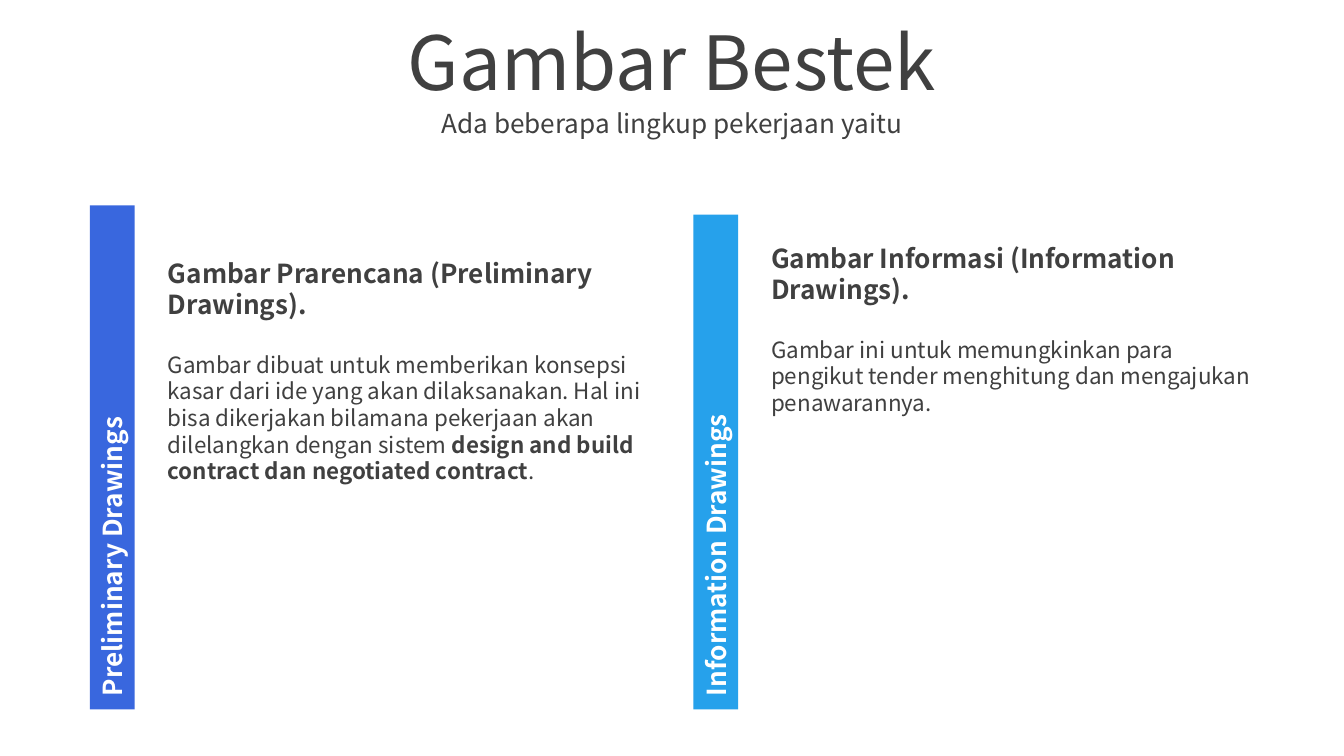
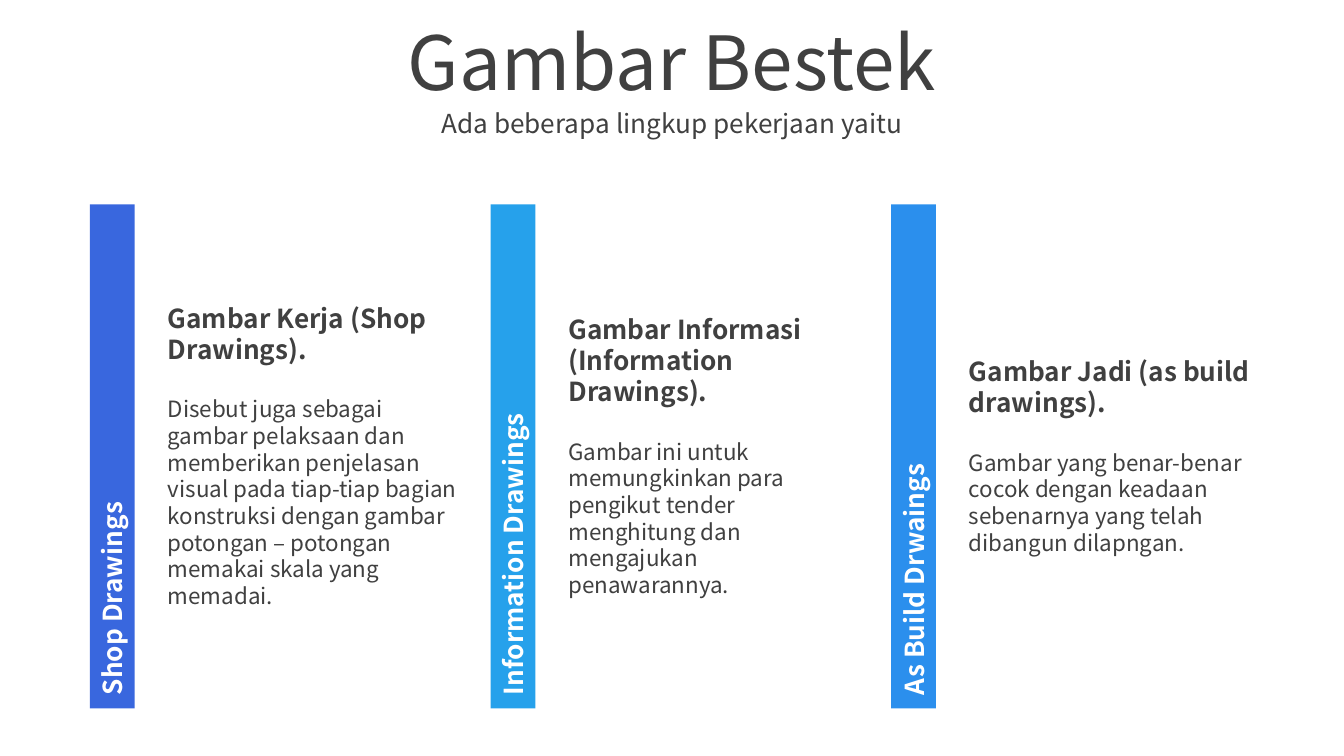
import pptx
import pptx.dml.color
import pptx.enum.shapes
import pptx.enum.text
import pptx.util

Pt = pptx.util.Pt
RGBColor = pptx.dml.color.RGBColor
ALIGN = pptx.enum.text.PP_ALIGN

FONT = "Noto Sans CJK KR"
INK = RGBColor(0x40, 0x40, 0x40)
WHITE = RGBColor(0xFF, 0xFF, 0xFF)
ROYAL = RGBColor(0x39, 0x67, 0xDE)
SKY = RGBColor(0x26, 0xA1, 0xEB)
AZURE = RGBColor(0x2B, 0x8F, 0xED)

SLIDE_WIDTH, SLIDE_HEIGHT = 720, 405
BAR_THICKNESS = 24
BAR_LEFT = 48.2
TEXT_OFFSET = 34.6
LINE_FACTOR = 1.19

TITLE = "Gambar Bestek"
SUBTITLE = "Ada beberapa lingkup pekerjaan yaitu"

INFORMATION = {
    "label": "Information Drawings",
    "color": SKY,
    "heading": "Gambar Informasi (Information Drawings).",
    "body": [("Gambar ini untuk memungkinkan para pengikut tender menghitung "
              "dan mengajukan penawarannya.", False)],
}
PRELIMINARY = {
    "label": "Preliminary Drawings",
    "color": ROYAL,
    "heading": "Gambar Prarencana (Preliminary Drawings).",
    "body": [
        ("Gambar dibuat untuk memberikan konsepsi kasar dari ide yang akan "
         "dilaksanakan. Hal ini bisa dikerjakan bilamana pekerjaan akan "
         "dilelangkan dengan sistem ", False),
        ("design and build contract dan negotiated contract", True),
        (".", False),
    ],
}
SHOP = {
    "label": "Shop Drawings",
    "color": ROYAL,
    "heading": "Gambar Kerja (Shop Drawings).",
    "body": [("Disebut juga sebagai gambar pelaksaan dan memberikan penjelasan "
              "visual pada tiap-tiap bagian konstruksi dengan gambar potongan – "
              "potongan memakai skala yang memadai.", False)],
}
AS_BUILT = {
    "label": "As Build Drwaings",
    "color": AZURE,
    "heading": "Gambar Jadi (as build drawings).",
    "body": [("Gambar yang benar-benar cocok dengan keadaan sebenarnya yang "
              "telah dibangun dilapngan.", False)],
}

# Each column: drawing type, bar length, top and height of its text
SLIDES = [
    {"pitch": 323.2, "text_width": 277.2, "bar_bottom": 380, "columns": [
        (PRELIMINARY, 270, -7.2, 411.8),
        (INFORMATION, 265, 24.5, 303.8),
    ]},
    {"pitch": 214.6, "text_width": 169.9, "bar_bottom": 379.5, "columns": [
        (SHOP, 270, 92.2, 303.8),
        (INFORMATION, 270, 92.2, 303.8),
        (AS_BUILT, 270, 92.2, 303.8),
    ]},
]


def style(run, size, color=INK, bold=False):
    run.font.name = FONT
    run.font.size = Pt(size)
    run.font.bold = bold
    run.font.color.rgb = color


def prepare_frame(shape):
    frame = shape.text_frame
    frame.word_wrap = True
    frame.auto_size = pptx.enum.text.MSO_AUTO_SIZE.NONE
    frame.vertical_anchor = pptx.enum.text.MSO_ANCHOR.MIDDLE
    return frame


def fill_header(placeholder, text, top, height, size, space_before):
    placeholder.left, placeholder.top = Pt(0), Pt(top)
    placeholder.width, placeholder.height = Pt(SLIDE_WIDTH), Pt(height)
    frame = prepare_frame(placeholder)
    frame.text = text
    paragraph = frame.paragraphs[0]
    paragraph.alignment = ALIGN.CENTER
    paragraph.space_before = Pt(space_before)
    paragraph.line_spacing = Pt(size * LINE_FACTOR)
    style(paragraph.runs[0], size)


def add_bar(slide, drawing, left, bottom, length):
    """Draw a bar turned a quarter left, so its label reads upwards."""
    center_x = left + BAR_THICKNESS / 2
    center_y = bottom - length / 2
    bar = slide.shapes.add_shape(
        pptx.enum.shapes.MSO_SHAPE.RECTANGLE,
        Pt(center_x - length / 2), Pt(center_y - BAR_THICKNESS / 2),
        Pt(length), Pt(BAR_THICKNESS))
    bar.rotation = 270
    bar.shadow.inherit = False
    bar.fill.solid()
    bar.fill.fore_color.rgb = drawing["color"]
    bar.line.fill.background()
    frame = prepare_frame(bar)
    frame.text = drawing["label"]
    frame.paragraphs[0].alignment = ALIGN.LEFT
    style(frame.paragraphs[0].runs[0], 14, WHITE, True)


def add_description(slide, drawing, left, top, width, height):
    box = slide.shapes.add_textbox(Pt(left), Pt(top), Pt(width), Pt(height))
    frame = prepare_frame(box)
    heading = frame.paragraphs[0]
    heading.text = drawing["heading"]
    heading.line_spacing = Pt(14 * LINE_FACTOR)
    heading.space_after = Pt(14 * LINE_FACTOR)
    style(heading.runs[0], 14, bold=True)
    body = frame.add_paragraph()
    body.line_spacing = Pt(12 * LINE_FACTOR)
    for text, bold in drawing["body"]:
        run = body.add_run()
        run.text = text
        style(run, 12, bold=bold)


def build_slide(deck, content):
    slide = deck.slides.add_slide(deck.slide_layouts[0])
    fill_header(slide.shapes.title, TITLE, 10, 45, 40, 8)
    fill_header(slide.placeholders[1], SUBTITLE, 55, 22, 14, 2.8)
    for index, (drawing, length, top, height) in enumerate(content["columns"]):
        left = BAR_LEFT + index * content["pitch"]
        add_bar(slide, drawing, left, content["bar_bottom"], length)
        add_description(slide, drawing, left + TEXT_OFFSET, top,
                        content["text_width"], height)


def main():
    deck = pptx.Presentation()
    deck.slide_width, deck.slide_height = Pt(SLIDE_WIDTH), Pt(SLIDE_HEIGHT)
    for content in SLIDES:
        build_slide(deck, content)
    deck.save("out.pptx")


if __name__ == "__main__":
    main()
